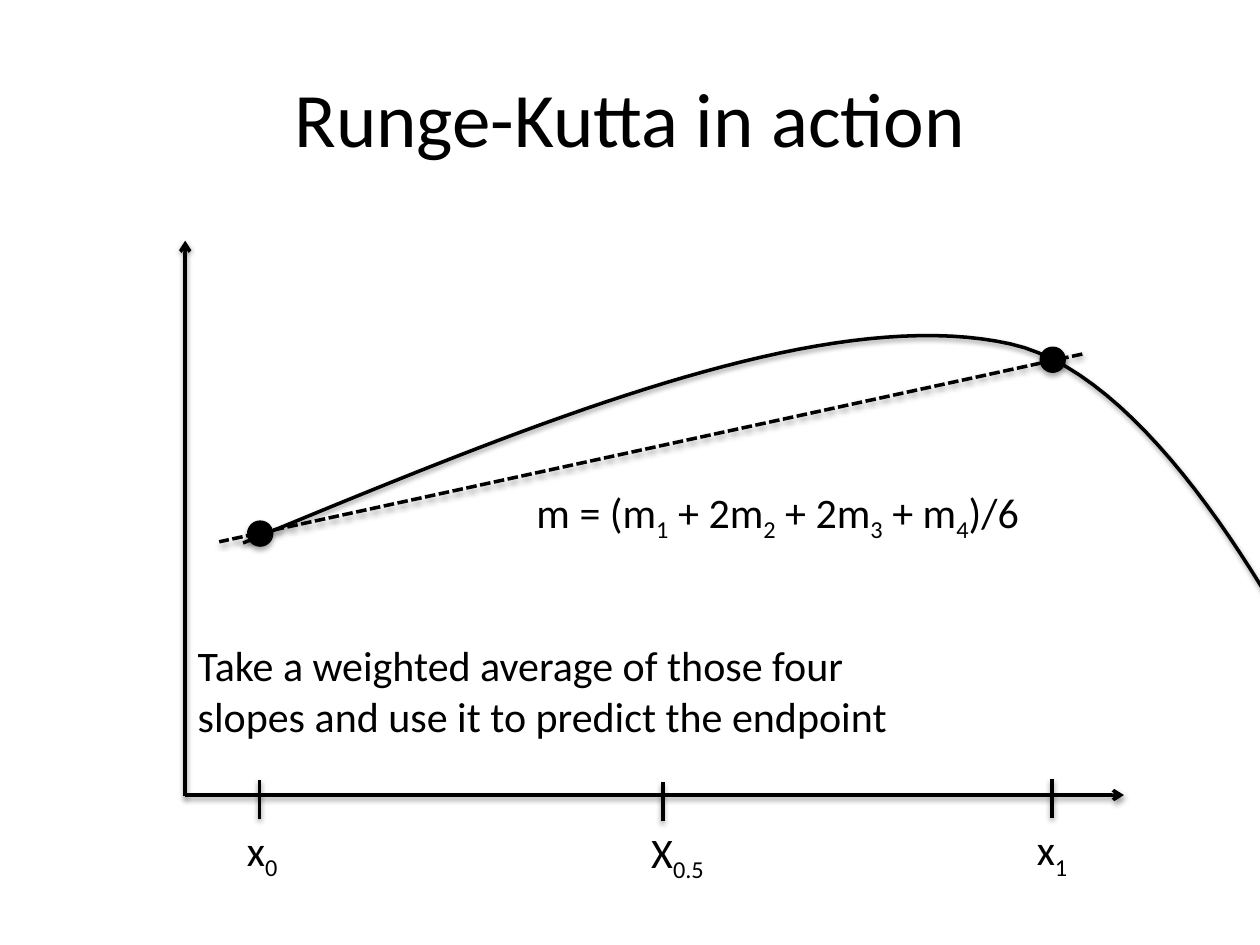
from dataclasses import dataclass

from lxml import etree
from pptx import Presentation
from pptx.dml.color import RGBColor
from pptx.enum import dml, shapes, text
from pptx.oxml import ns
from pptx.util import Inches, Pt

BLACK = RGBColor(0, 0, 0)
FONT = "Calibri"
DOT_SIZE = 0.21
TICK_LENGTH = 0.31
Point = tuple[float, float]


@dataclass
class Line:
    start: Point
    end: Point
    arrow: bool = False
    dashed: bool = False


@dataclass
class Label:
    left: float
    top: float
    width: float
    height: float
    pieces: list[str]


AXES = [
    Line((1.47, 6.32), (1.47, 1.91), arrow=True),
    Line((1.47, 6.31), (8.92, 6.31), arrow=True),
]
TICKS = [
    Line((x, y), (x, y + TICK_LENGTH))
    for x, y in [(2.06, 6.19), (8.35, 6.18), (5.26, 6.21)]
]
SLOPE = Line((8.59, 2.81), (1.74, 4.3), dashed=True)
DOTS = [(1.96, 4.13), (8.25, 2.75)]
CURVE = [
    [(1.93, 4.31), (4.23, 3.36), (6.53, 2.4), (8.02, 2.73)],
    [(8.02, 2.73), (9.51, 3.06), (10.87, 6.31), (10.87, 6.31)],
]
START_LABEL = Label(1.86, 6.49, 0.85, 0.62, ["x", "0"])
LABELS = [
    Label(8.13, 6.49, 0.85, 0.62, ["x", "1"]),
    Label(5.07, 6.51, 0.85, 0.62, ["X", "0.5"]),
    Label(1.47, 5.03, 6.03, 0.91,
          ["Take a weighted average of those four slopes "
           "and use it to predict the endpoint"]),
    Label(4.16, 3.81, 4.3, 0.5,
          ["m = (m", "1", " + 2m", "2", " + 2m", "3", " + m", "4", ")/6"]),
]


def add_shadow(shape, distance: float, opacity: int) -> None:
    effects = etree.SubElement(shape._element.spPr, ns.qn("a:effectLst"))
    shadow = etree.SubElement(
        effects, ns.qn("a:outerShdw"), blurRad=str(Pt(3.1)),
        dist=str(Pt(distance)), dir="5400000", rotWithShape="0")
    color = etree.SubElement(shadow, ns.qn("a:srgbClr"), val=str(BLACK))
    etree.SubElement(color, ns.qn("a:alpha"), val=str(opacity * 1000))


def format_line(shape) -> None:
    shape.line.color.rgb = BLACK
    shape.line.width = Pt(2)


def draw_line(slide, line: Line) -> None:
    points = [Inches(value) for value in (*line.start, *line.end)]
    connector = slide.shapes.add_connector(
        shapes.MSO_CONNECTOR.STRAIGHT, *points)
    format_line(connector)
    if line.dashed:
        connector.line.dash_style = dml.MSO_LINE.SQUARE_DOT
    if line.arrow:
        etree.SubElement(connector.line._get_or_add_ln(),
                         ns.qn("a:tailEnd"), type="arrow")
    add_shadow(connector, 1.6, 38)


def draw_dot(slide, position: Point) -> None:
    left, top = position
    dot = slide.shapes.add_shape(
        shapes.MSO_SHAPE.OVAL, Inches(left), Inches(top),
        Inches(DOT_SIZE), Inches(DOT_SIZE))
    dot.fill.solid()
    dot.fill.fore_color.rgb = BLACK
    dot.line.fill.background()
    add_shadow(dot, 1.8, 35)


def bezier_point(controls: list[Point], t: float) -> Point:
    weights = ((1 - t) ** 3, 3 * t * (1 - t) ** 2, 3 * t ** 2 * (1 - t), t ** 3)
    x, y = (sum(w * p[axis] for w, p in zip(weights, controls))
            for axis in (0, 1))
    return x, y


def draw_curve(slide, segments: list[list[Point]], steps: int = 40) -> None:
    def to_emu(point: Point) -> tuple[int, int]:
        return Inches(point[0]), Inches(point[1])

    builder = slide.shapes.build_freeform(*to_emu(segments[0][0]))
    builder.add_line_segments(
        [to_emu(bezier_point(segment, step / steps))
         for segment in segments for step in range(1, steps + 1)],
        close=False)
    curve = builder.convert_to_shape()
    curve.fill.background()
    format_line(curve)
    add_shadow(curve, 1.6, 38)


def place(shape, left: float, top: float, width: float, height: float) -> None:
    shape.left, shape.top = Inches(left), Inches(top)
    shape.width, shape.height = Inches(width), Inches(height)


def format_font(paragraph, size: int) -> None:
    paragraph.font.name = FONT
    paragraph.font.size = Pt(size)
    paragraph.font.color.rgb = BLACK


def fill_label(shape, label: Label) -> None:
    place(shape, label.left, label.top, label.width, label.height)
    shape.text_frame.word_wrap = True
    paragraph = shape.text_frame.paragraphs[0]
    for index, piece in enumerate(label.pieces):
        run = paragraph.add_run()
        run.text = piece
        if index % 2:
            run.font._element.set("baseline", "-25000")
    properties = paragraph._p.get_or_add_pPr()
    properties.set("marL", "0")
    properties.set("indent", "0")
    paragraph.space_before = Pt(0)
    etree.SubElement(properties, ns.qn("a:buNone"))
    format_font(paragraph, 24)


def main() -> None:
    presentation = Presentation()
    presentation.slide_width = Inches(10)
    presentation.slide_height = Inches(7.5)
    slide = presentation.slides.add_slide(presentation.slide_layouts[1])

    title = slide.shapes.title
    place(title, 0.5, 0.3, 9, 1.25)
    title.text_frame.text = "Runge-Kutta in action"
    title.text_frame.vertical_anchor = text.MSO_ANCHOR.MIDDLE
    heading = title.text_frame.paragraphs[0]
    heading.alignment = text.PP_ALIGN.CENTER
    format_font(heading, 44)

    draw_curve(slide, CURVE)
    for line in [*AXES, *TICKS, SLOPE]:
        draw_line(slide, line)
    for position in DOTS:
        draw_dot(slide, position)
    fill_label(slide.placeholders[1], START_LABEL)
    for label in LABELS:
        fill_label(slide.shapes.add_textbox(0, 0, 0, 0), label)

    presentation.save("out.pptx")


if __name__ == "__main__":
    main()
